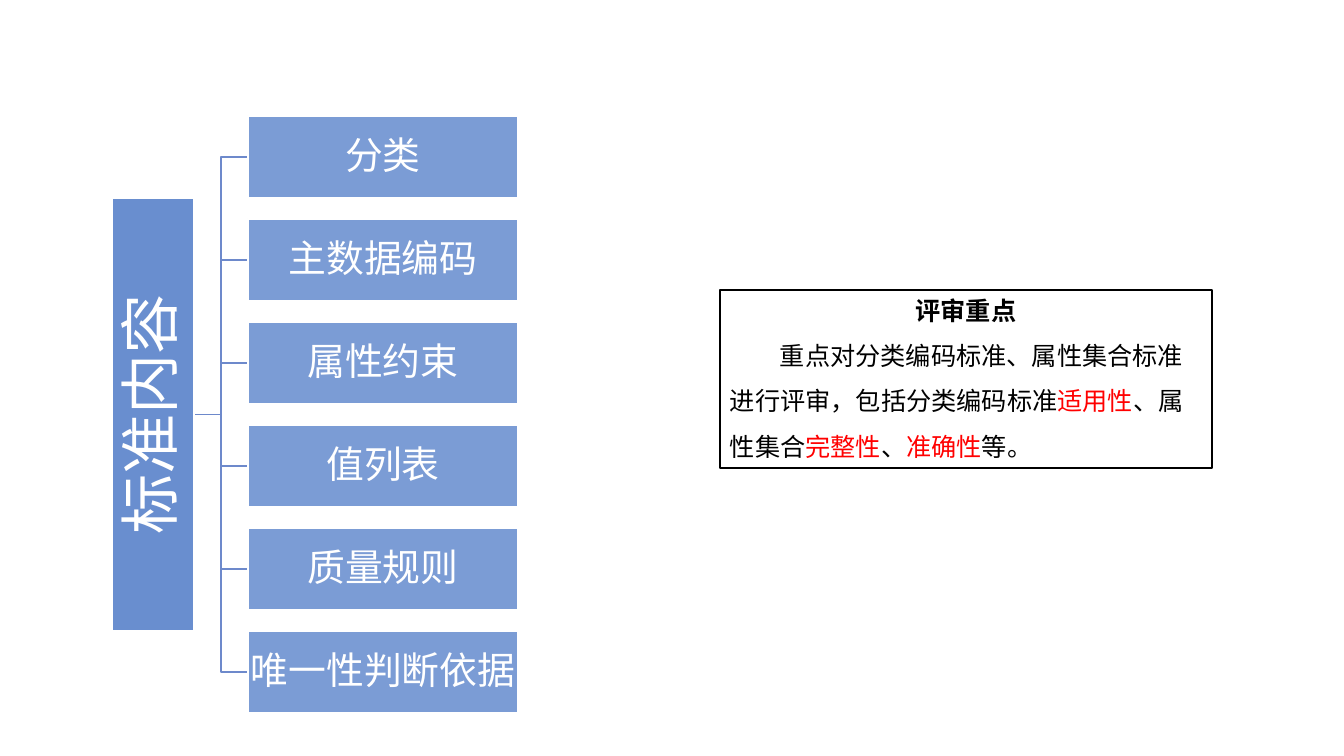
from pptx import Presentation
from pptx.dml.color import RGBColor
from pptx.enum import shapes, text
from pptx.oxml.ns import qn
from pptx.util import Emu, Pt
from lxml import etree

PX = 914400 / 100.8
FONT = "Noto Sans CJK SC"
ROOT = "标准内容"
ITEMS = ["分类", "主数据编码", "属性约束", "值列表", "质量规则", "唯一性判断依据"]
REVIEW_TITLE = "评审重点"
REVIEW_RUNS = [
    ("重点对分类编码标准、属性集合标准进行评审，包括分类编码标准", False),
    ("适用性", True), ("、属性集合", False), ("完整性", True),
    ("、", False), ("准确性", True), ("等。", False),
]


def px(value):
    return Emu(round(value * PX))


def color(hex_value):
    return RGBColor.from_string(hex_value)


def set_font(font, size, hex_value, bold=False):
    """Apply one typeface to Latin and East Asian text."""
    font.name, font.size, font.bold = FONT, Pt(size), bold
    font.color.rgb = color(hex_value)
    east_asian = etree.Element(qn("a:ea"), typeface=FONT)
    font._element.find(qn("a:latin")).addnext(east_asian)


def add_box(slide, left, top, width, height, line):
    shape = slide.shapes.add_shape(
        shapes.MSO_SHAPE.RECTANGLE, px(left), px(top), px(width), px(height))
    shape.shadow.inherit = False
    shape.line.color.rgb = color(line)
    shape.line.width = Pt(1)
    return shape


def add_node(slide, left, top, width, height, label, size, opacity, margin):
    """Add a translucent blue box with a centred label."""
    node = add_box(slide, left, top, width, height, "FFFFFF")
    node.fill.solid()
    node.fill.fore_color.rgb = color("4472C4")
    fill_color = node._element.spPr.find(qn("a:solidFill"))[0]
    etree.SubElement(fill_color, qn("a:alpha"), val=str(opacity * 1000))
    frame = node.text_frame
    frame.word_wrap = True
    frame.vertical_anchor = text.MSO_ANCHOR.MIDDLE
    frame.margin_left = frame.margin_right = px(margin)
    frame.margin_top = frame.margin_bottom = px(margin)
    paragraph = frame.paragraphs[0]
    paragraph.text = label
    paragraph.alignment = text.PP_ALIGN.CENTER
    paragraph.line_spacing = 0.9
    set_font(paragraph.font, size, "FFFFFF")
    return node


def add_branch(slide, start, end):
    branch = slide.shapes.add_connector(
        shapes.MSO_CONNECTOR.ELBOW, *map(px, start + end))
    branch.line.color.rgb = color("6D89CB")
    branch.line.width = Pt(1)
    etree.SubElement(branch._element.spPr, qn("a:effectLst"))


def add_hierarchy(slide, left, top, width, height):
    """Draw the vertical root, its branches and the evenly spaced items."""
    node_height, root_length, gap = 82, 433, 54
    middle = top + height / 2
    root_right = left + node_height
    item_left = root_right + gap
    pitch = (height - node_height) / (len(ITEMS) - 1)
    tops = [top + row * pitch for row in range(len(ITEMS))]

    for item_top in reversed(tops):
        add_branch(slide, (root_right, middle),
                   (item_left, item_top + node_height / 2))
    root = add_node(slide, left + (node_height - root_length) / 2,
                    middle - node_height / 2, root_length, node_height,
                    ROOT, 43, 80, 3)
    root.rotation = 270
    for label, item_top in zip(ITEMS, tops):
        add_node(slide, item_left, item_top, left + width - item_left,
                 node_height, label, 27, 70, 2)


def add_review(slide, left, top, width, height):
    """Draw the outlined note with its key terms in red."""
    box = add_box(slide, left, top, width, height, "000000")
    box.fill.background()
    frame = box.text_frame
    frame.word_wrap = True
    frame.auto_size = text.MSO_AUTO_SIZE.SHAPE_TO_FIT_TEXT
    frame.vertical_anchor = text.MSO_ANCHOR.TOP
    title = frame.paragraphs[0]
    title.text = REVIEW_TITLE
    title.alignment = text.PP_ALIGN.CENTER
    set_font(title.font, 18, "000000", bold=True)

    body = frame.add_paragraph()
    body.alignment = text.PP_ALIGN.LEFT
    body.line_spacing = 1.5
    body._p.get_or_add_pPr().set("indent", str(px(50)))
    set_font(body.font, 18, "000000")
    for words, is_key in REVIEW_RUNS:
        run = body.add_run()
        run.text = words
        run.font.color.rgb = color("FF0000" if is_key else "000000")


def main():
    presentation = Presentation()
    presentation.slide_width, presentation.slide_height = px(1344), px(756)
    slide = presentation.slides.add_slide(presentation.slide_layouts[6])
    add_review(slide, 720, 290, 492, 178)
    add_hierarchy(slide, 112, 116, 406, 597)
    presentation.save("out.pptx")


if __name__ == "__main__":
    main()
